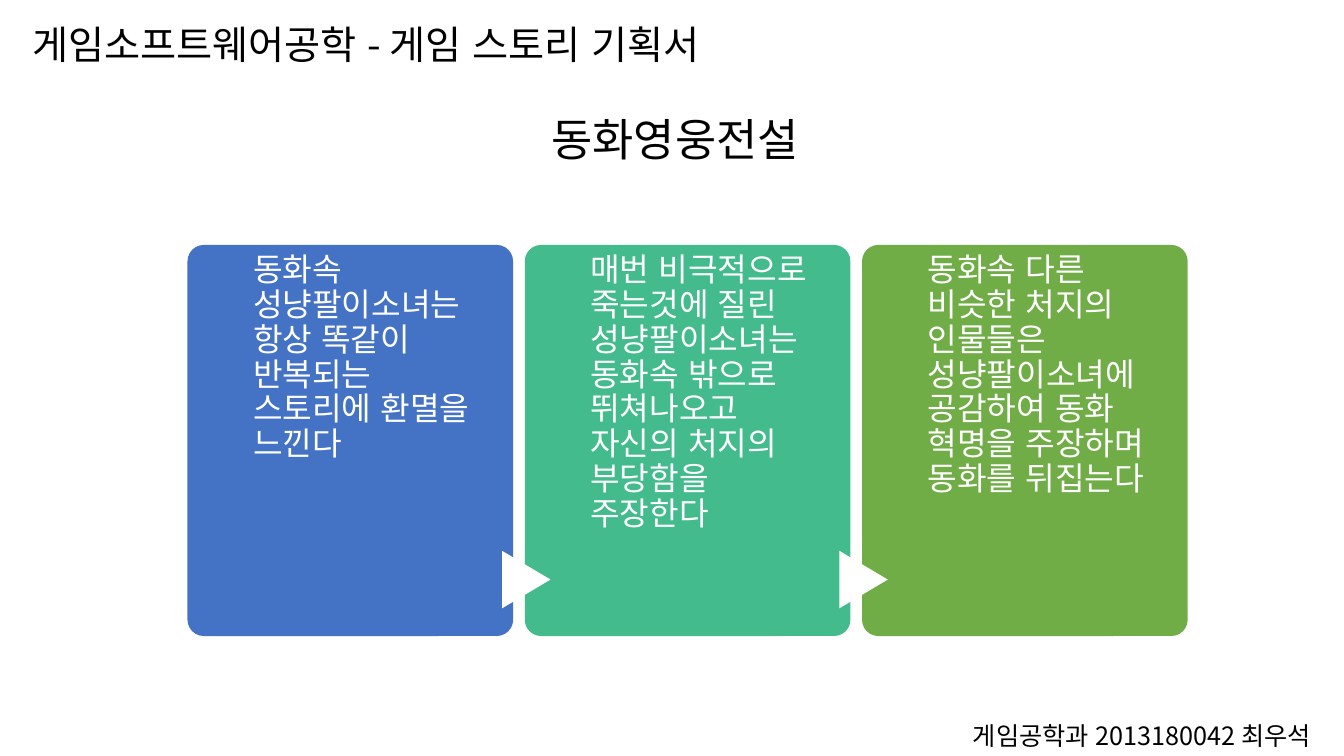
from lxml.etree import SubElement
from pptx import Presentation
from pptx.dml.color import RGBColor
from pptx.enum.lang import MSO_LANGUAGE_ID
from pptx.enum.shapes import MSO_SHAPE
from pptx.enum.text import MSO_AUTO_SIZE
from pptx.oxml.ns import qn
from pptx.util import Inches, Pt

FONT = "Noto Sans CJK KR"
COLORS = {"black": "000000", "white": "FFFFFF",
          "blue": "4472C4", "teal": "43BB8D", "green": "70AD47"}

deck = Presentation()
deck.slide_width, deck.slide_height = Inches(13.33), Inches(7.5)
page = deck.slides.add_slide(deck.slide_layouts[6])


def add_text(text, left, top, width, height, size, color="black", card=False):
    """Add a one-line label, or the wrapped text of a card."""
    box = page.shapes.add_textbox(*map(Inches, (left, top, width, height)))
    frame = box.text_frame
    frame.word_wrap = card
    frame.auto_size = MSO_AUTO_SIZE.NONE if card else MSO_AUTO_SIZE.SHAPE_TO_FIT_TEXT
    para = frame.paragraphs[0]
    if card:
        frame.margin_left = frame.margin_right = frame.margin_bottom = 0
        frame.margin_top = Inches(0.09)
        para.line_spacing = 0.9
        para.space_after = Pt(0.35 * size)
    span = para.add_run()
    span.text = text
    span.font.size = Pt(size)
    span.font.name = FONT
    span.font.language_id = MSO_LANGUAGE_ID.KOREAN
    span.font.color.rgb = RGBColor.from_string(COLORS[color])
    SubElement(span.font._element, qn("a:ea")).set("typeface", FONT)


def add_block(kind, left, top, width, height, color):
    """Add a plain filled shape without outline or shadow."""
    block = page.shapes.add_shape(kind, *map(Inches, (left, top, width, height)))
    block.shadow.inherit = False
    block.fill.solid()
    block.fill.fore_color.rgb = RGBColor.from_string(COLORS[color])
    block.line.fill.background()
    return block


# Heading
add_text("게임소프트웨어공학 - 게임 스토리 기획서", 0.22, 0.15, 7.59, 0.57, 28)

# Story cards, each after the first with an arrow from the card before
cards = [
    ("blue", "동화속 성냥팔이소녀는 항상 똑같이 반복되는 스토리에 환멸을 느낀다"),
    ("teal", "매번 비극적으로 죽는것에 질린 성냥팔이소녀는 동화속 밖으로 "
             "뛰쳐나오고 자신의 처지의 부당함을 주장한다"),
    ("green", "동화속 다른 비슷한 처지의 인물들은 성냥팔이소녀에 공감하여 "
              "동화 혁명을 주장하며 동화를 뒤집는다"),
]
first_left, card_top, card_width, card_height, column_step = 1.86, 2.43, 3.23, 3.88, 3.345
for column, (color, story) in enumerate(cards):
    left = first_left + column * column_step
    card = add_block(MSO_SHAPE.ROUNDED_RECTANGLE, left, card_top,
                     card_width, card_height, color)
    card.adjustments[0] = 0.05
    if column:
        arrow = add_block(MSO_SHAPE.FLOWCHART_EXTRACT, left - 0.27, 5.51,
                          0.57, 0.48, "white")
        arrow.rotation = 90
    add_text(story, left + 0.65, card_top, 2.41, card_height, 23,
             color="white", card=True)

# Author and story title
add_text("게임공학과 2013180042 최우석", 9.55, 7.1, 3.79, 0.4, 18)
add_text("동화영웅전설", 5.37, 1.06, 2.89, 0.64, 32)

deck.save("out.pptx")
